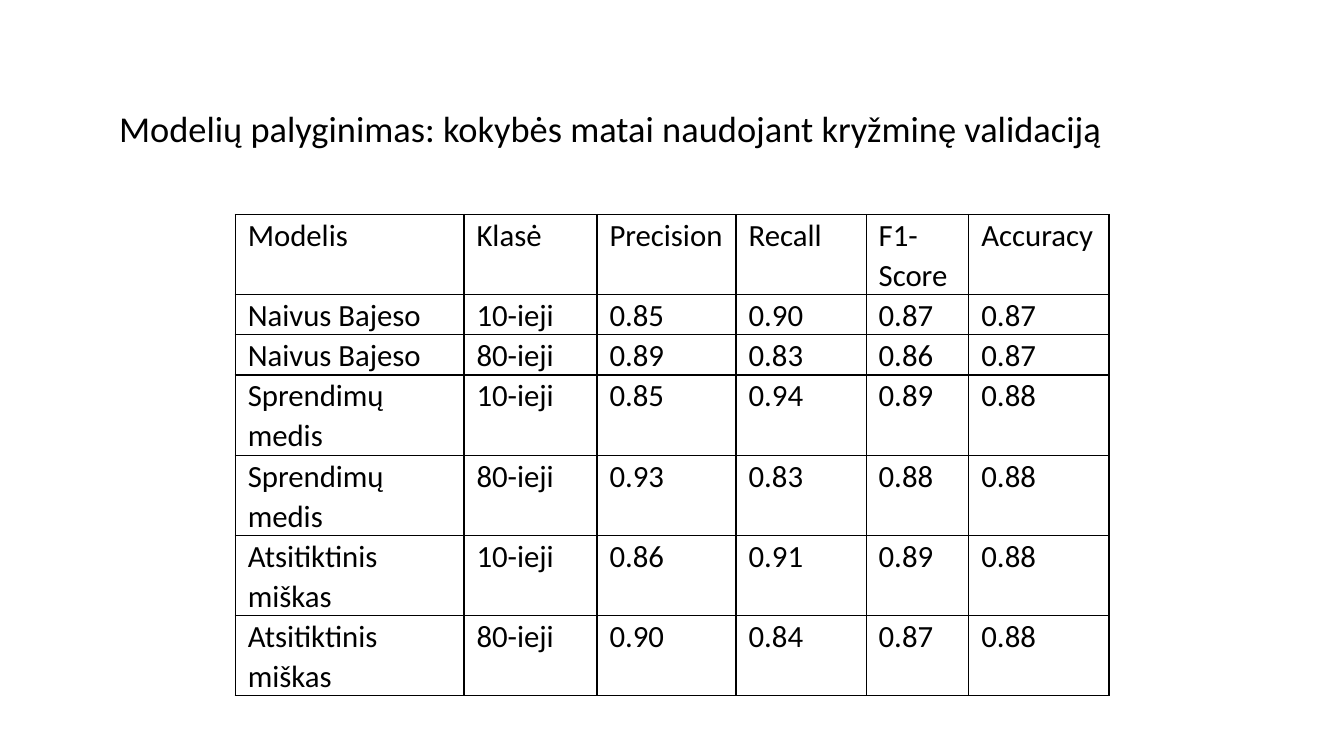
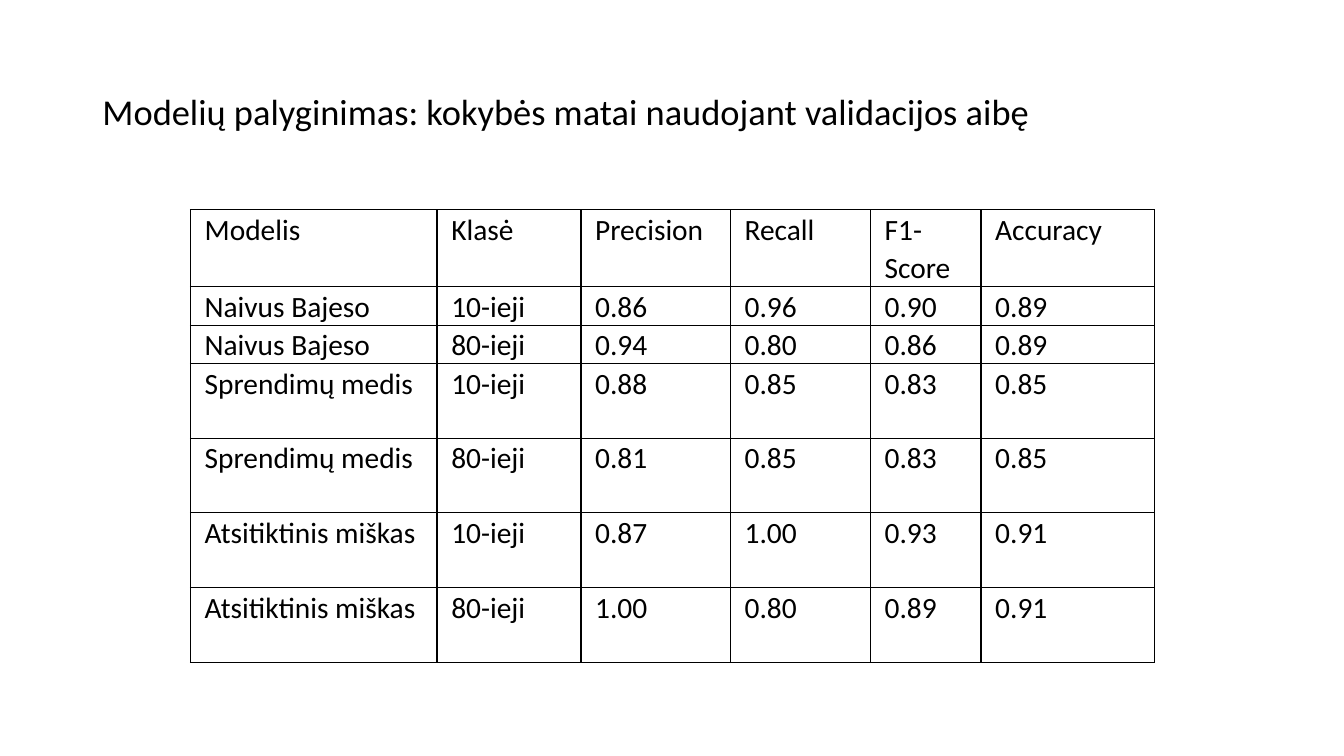
from lxml import etree
from pptx import Presentation
from pptx.dml.color import RGBColor
from pptx.enum import text
from pptx.oxml import ns
from pptx.util import Pt

FONT, INK = "Calibri", "000000"
HEAD = ["Modelis", "Klasė", "Precision", "Recall", "F1-Score", "Accuracy"]
MODELS = ["Naivus Bajeso", "Sprendimų medis", "Atsitiktinis miškas"]
GROUPS = ["10-ieji", "80-ieji"]
ROWS = [53.3, 25.9, 25.9] + [53.3] * 4

# One line of scores for each model and class
SLIDES = [
    dict(
        title="Modelių palyginimas: kokybės matai naudojant kryžminę validaciją",
        spot=(77.8, 41), corner=(168, 153.2), size=22, inset=9,
        cols=[163.4, 95, 99.4, 92.9, 73.4, 100.1],
        scores=[
            "0.85 0.90 0.87 0.87",
            "0.89 0.83 0.86 0.87",
            "0.85 0.94 0.89 0.88",
            "0.93 0.83 0.88 0.88",
            "0.86 0.91 0.89 0.88",
            "0.90 0.84 0.87 0.88",
        ],
    ),
    dict(
        title="Modelių palyginimas: kokybės matai naudojant validacijos aibę",
        spot=(66, 29), corner=(136, 149.8), size=21, inset=10.2,
        cols=[176.2, 102.8, 106.8, 100, 79, 123.8],
        scores=[
            "0.86 0.96 0.90 0.89",
            "0.94 0.80 0.86 0.89",
            "0.88 0.85 0.83 0.85",
            "0.81 0.85 0.83 0.85",
            "0.87 1.00 0.93 0.91",
            "1.00 0.80 0.89 0.91",
        ],
    ),
]


def style(para, size, align, spacing):
    para.alignment, para.line_spacing = align, spacing
    font = para.font
    font.name, font.size, font.bold = FONT, Pt(size), False
    font.color.rgb = RGBColor.from_string(INK)


def border(cell):
    props = cell._tc.get_or_add_tcPr()
    for side in "LRTB":
        line = etree.SubElement(props, ns.qn(f"a:ln{side}"), w=str(Pt(1)))
        fill = etree.SubElement(line, ns.qn("a:solidFill"))
        etree.SubElement(fill, ns.qn("a:srgbClr"), val=INK)


def add_title(slide, words, spot):
    title = slide.shapes.title
    title.left, title.top = map(Pt, spot)
    title.width, title.height = Pt(828), Pt(104.4)
    frame = title.text_frame
    frame.text = words
    frame.auto_size = text.MSO_AUTO_SIZE.NONE
    frame.vertical_anchor = text.MSO_ANCHOR.MIDDLE
    style(frame.paragraphs[0], 26, text.PP_ALIGN.LEFT, 0.9)


def fill_cell(cell, words, size, inset):
    cell.text = words
    cell.margin_left = cell.margin_right = Pt(inset)
    cell.margin_top = cell.margin_bottom = 0
    para = cell.text_frame.paragraphs[0]
    style(para, size, text.PP_ALIGN.JUSTIFY, 1.07)
    para.space_after = Pt(8)
    border(cell)
    cell.fill.background()


def add_scores(slide, data):
    names = [[model, group] for model in MODELS for group in GROUPS]
    grid = [HEAD] + [pair + line.split() for pair, line in zip(names, data["scores"])]
    cols = data["cols"]
    table = slide.shapes.add_table(
        len(grid), len(cols), *map(Pt, data["corner"]), Pt(sum(cols)), Pt(sum(ROWS))
    ).table
    table.first_row = table.horz_banding = False
    for col, width in zip(table.columns, cols):
        col.width = Pt(width)
    for row, height, line in zip(table.rows, ROWS, grid):
        row.height = Pt(height)
        for cell, words in zip(row.cells, line):
            fill_cell(cell, words, data["size"], data["inset"])


def main():
    deck = Presentation()
    deck.slide_width, deck.slide_height = Pt(960), Pt(540)
    for data in SLIDES:
        slide = deck.slides.add_slide(deck.slide_layouts[5])
        add_title(slide, data["title"], data["spot"])
        add_scores(slide, data)
    deck.save("out.pptx")


if __name__ == "__main__":
    main()
